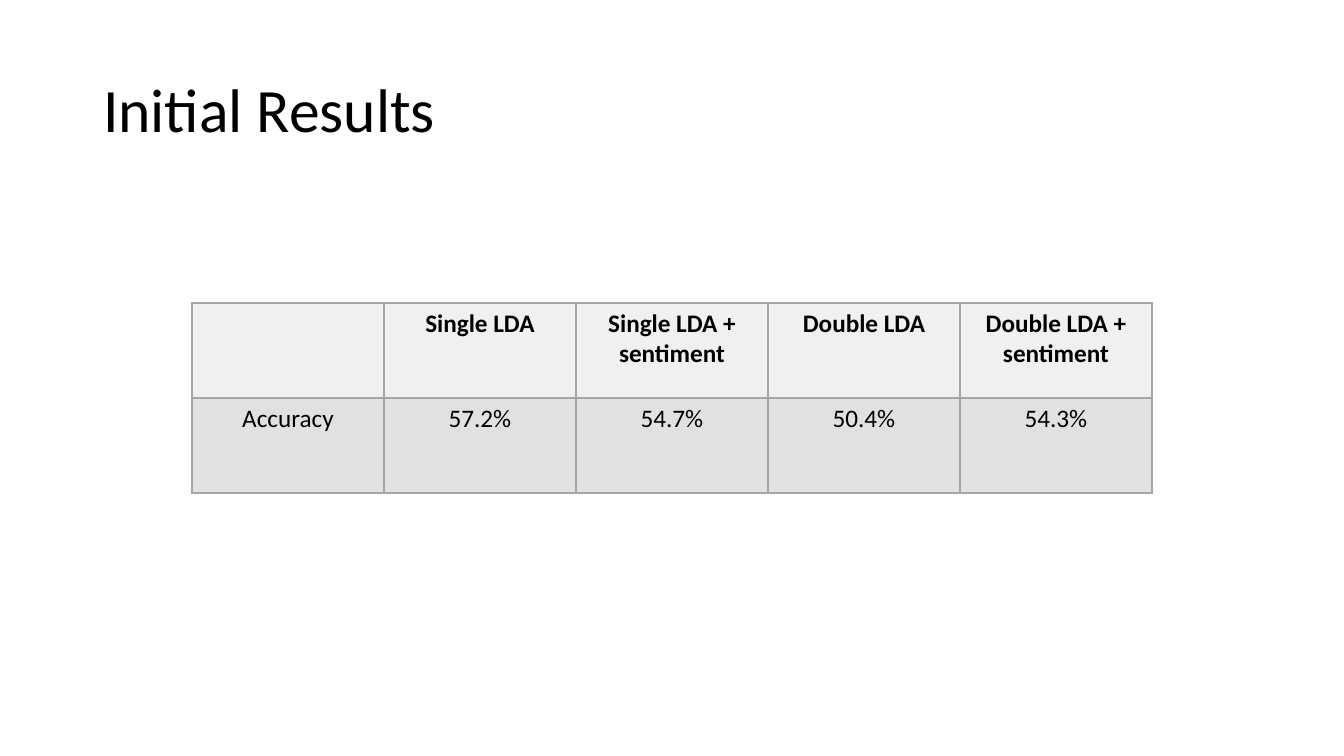
from lxml import etree
from pptx import Presentation
from pptx.dml.color import RGBColor
from pptx.enum.text import MSO_ANCHOR as Anchor, PP_ALIGN as Align
from pptx.oxml.ns import qn
from pptx.util import Emu, Pt

PX_PER_INCH = 100.8
FONT = "Calibri"
BLACK = RGBColor(0x00, 0x00, 0x00)
HEADER_FILL = RGBColor(0xF0, 0xF0, 0xF0)
BODY_FILL = RGBColor(0xE1, 0xE1, 0xE1)
BORDER = RGBColor(0xA5, 0xA5, 0xA5)

RESULTS = [
    ["", "Single LDA", "Single LDA + sentiment", "Double LDA", "Double LDA + sentiment"],
    ["Accuracy", "57.2%", "54.7%", "50.4%", "54.3%"],
]


def px(count):
    return Emu(round(count * 914400 / PX_PER_INCH))


def add_run(para, text, size, bold=False):
    span = para.add_run()
    span.text = text
    span.font.name = FONT
    span.font.size = Pt(size)
    span.font.bold = bold
    span.font.color.rgb = BLACK


def add_borders(cell):
    properties = cell._tc.get_or_add_tcPr()
    for side in ("a:lnL", "a:lnR", "a:lnT", "a:lnB"):
        line = etree.SubElement(properties, qn(side), w=str(Pt(1)))
        fill = etree.SubElement(line, qn("a:solidFill"))
        etree.SubElement(fill, qn("a:srgbClr"), val=str(BORDER))


def place_title(page, box, text):
    title = page.shapes.title
    title.left, title.top, title.width, title.height = map(px, box)
    frame = title.text_frame
    frame.word_wrap = True
    frame.vertical_anchor = Anchor.MIDDLE
    para = frame.paragraphs[0]
    para.alignment = Align.LEFT
    para.line_spacing = 0.9
    add_run(para, text, 44)


def place_table(page, box, rows):
    left, top, width, height = map(px, box)
    table = page.shapes.add_table(len(rows), len(rows[0]), left, top, width, height).table
    for row_index, row in enumerate(rows):
        header = row_index == 0
        for column_index, text in enumerate(row):
            cell = table.cell(row_index, column_index)
            # Borders come before the fill in the cell properties
            add_borders(cell)
            cell.fill.solid()
            cell.fill.fore_color.rgb = HEADER_FILL if header else BODY_FILL
            para = cell.text_frame.paragraphs[0]
            para.alignment = Align.CENTER
            if text:
                add_run(para, text, 18, bold=header)


def main():
    deck = Presentation()
    deck.slide_width, deck.slide_height = px(1344), px(756)
    page = deck.slides.add_slide(deck.slide_layouts.get_by_name("Title Only"))
    place_title(page, (93, 40, 1159, 146), "Initial Results")
    place_table(page, (192, 303, 960, 190), RESULTS)
    deck.save("out.pptx")


if __name__ == "__main__":
    main()
